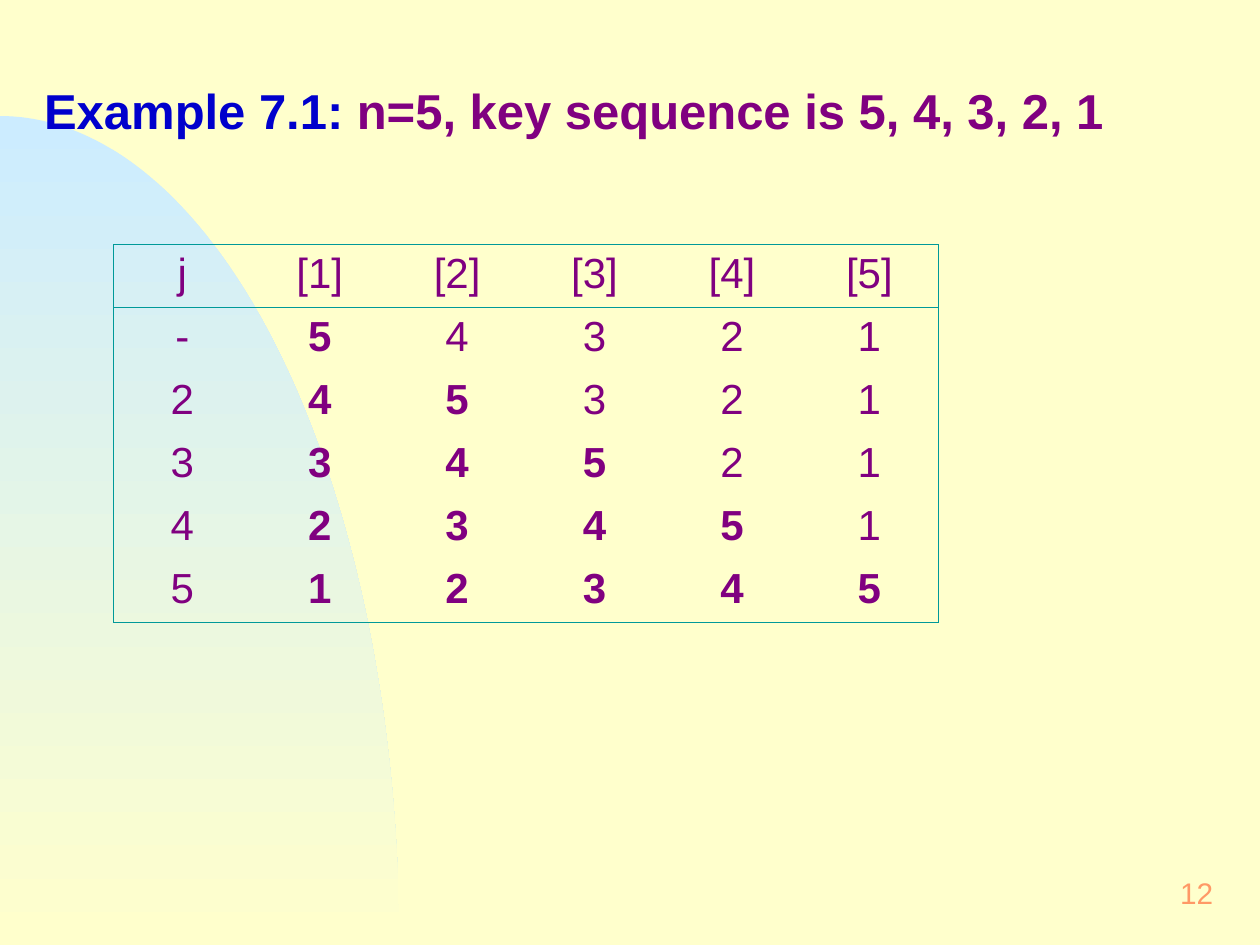
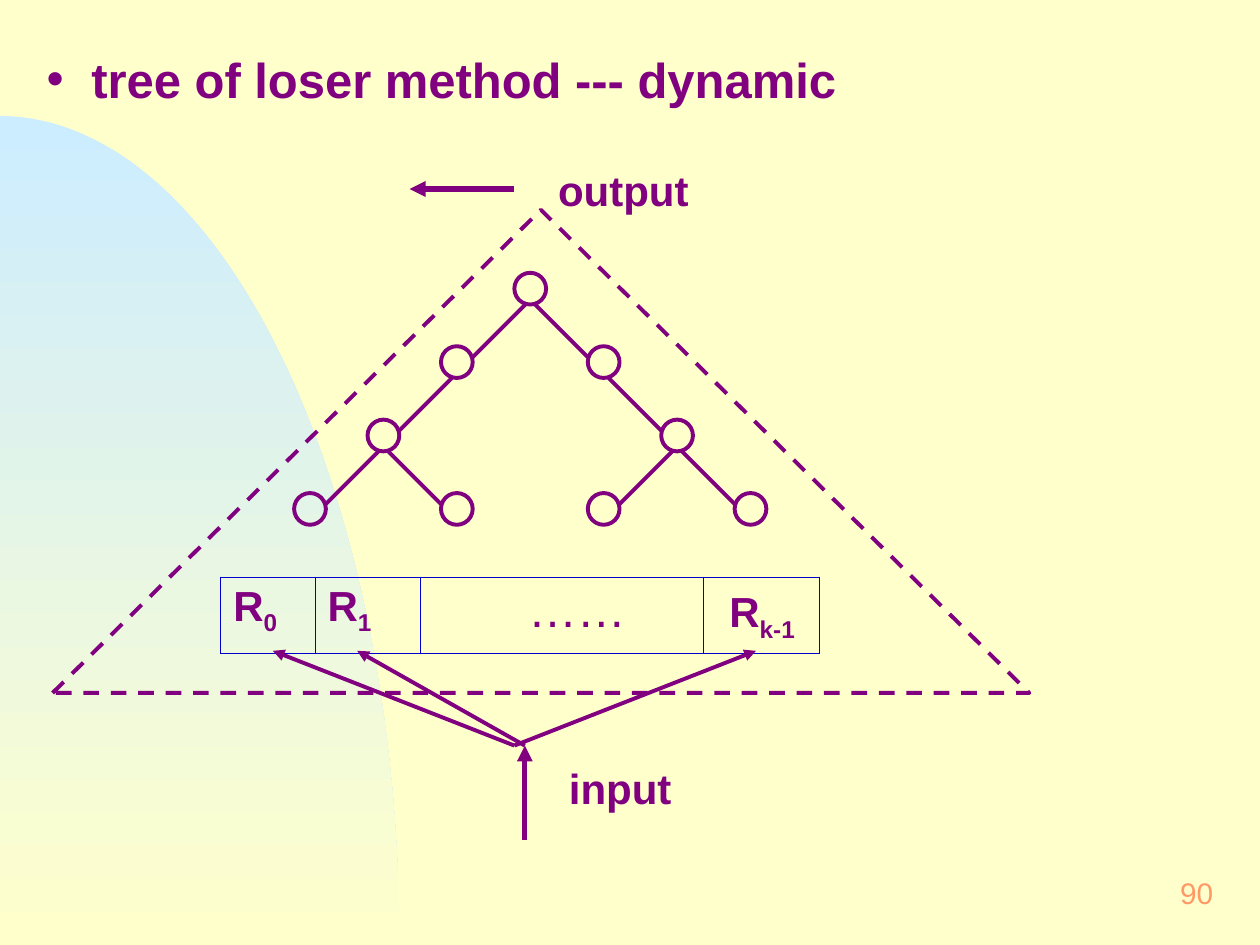
from math import cos, pi, sin

from lxml.etree import SubElement
from pptx import Presentation
from pptx.dml.color import RGBColor
from pptx.enum.dml import MSO_LINE
from pptx.enum.shapes import MSO_CONNECTOR, MSO_SHAPE
from pptx.enum.text import MSO_ANCHOR as Anchor, MSO_AUTO_SIZE as AutoSize, PP_ALIGN as Align
from pptx.oxml.ns import qn
from pptx.util import Cm, Pt

FONT = "Arial"
CREAM, SKY, PURPLE = "FFFFCC", "CCECFF", "800080"
BLUE, TEAL, ORANGE = "0000CC", "009999", "FF9966"
SLIDE_WIDTH, SLIDE_HEIGHT = 25.4, 19.05

# Slide 12: sort passes; each row is j followed by the keys
EXAMPLE_TITLE = [("Example 7.1:", {"color": BLUE}), (" n=5, key sequence is 5, 4, 3, 2, 1", {})]
PASS_HEADER = ["j", "[1]", "[2]", "[3]", "[4]", "[5]"]
PASSES = ["-54321", "245321", "334521", "423451", "512345"]
PASS_LEFT, PASS_TOP = 2.29, 4.93
PASS_COLUMN, PASS_ROW = 2.77, 1.27

# Slide 90: tree of losers, in steps (column, level) from the root
TREE_TITLE = "tree of loser method --- dynamic"
CHILDREN = {
    (0, 0): [(-1, 1), (1, 1)],
    (-1, 1): [(-2, 2)],
    (1, 1): [(2, 2)],
    (-2, 2): [(-3, 3), (-1, 3)],
    (2, 2): [(1, 3), (3, 3)],
}
ROOT_X, ROOT_Y, TREE_STEP = 10.69, 5.82, 1.48
RADIUS, EDGE_OFFSET = 0.32, 0.1
FRAME = (1.06, 4.23, 19.69, 9.74)

SUBSCRIPT = {"baseline": -25000}
# (column width, spans, format, indent, drop below the usual first line)
RECORDS = [
    (1.9, [("R", {}), ("0", SUBSCRIPT)], {}, 0, 0),
    (2.12, [("R", {}), ("1", SUBSCRIPT)], {}, 0, 0),
    (5.71, "……", {"size": 28, "bold": False}, 1.92, 0),
    (2.33, [("R", {}), ("k-1", SUBSCRIPT)], {}, 0.27, 0.13),
]
RECORDS_LEFT, RECORDS_TOP, RECORDS_HEIGHT = 4.45, 11.63, 1.55

ARROWS = [  # start, end, weight
    ((10.37, 3.81), (8.26, 3.81), 3),
    ((10.58, 16.93), (10.58, 15.03), 3),
    ((10.37, 15.03), (5.5, 13.12), 2.25),
    ((10.58, 15.03), (7.2, 13.12), 2.25),
    ((10.37, 15.03), (15.24, 13.12), 2.25),
]
LABELS = [("output", 11, 3.18), ("input", 11.22, 15.24)]


def rgb(color):
    return RGBColor.from_string(color)


def write(frame, text, size=24, color=PURPLE, bold=False, align=Align.LEFT, anchor=Anchor.TOP,
          inset=(0.25, 0.13), spacing=1.0, indent=0, bullet=None):
    """Fill a text frame with a string or a list of (text, changes) spans."""
    frame.word_wrap = True
    frame.auto_size = AutoSize.NONE
    frame.vertical_anchor = anchor
    frame.margin_left = frame.margin_right = Cm(inset[0])
    frame.margin_top = frame.margin_bottom = Cm(inset[1])
    write_paragraph(frame.paragraphs[0], text, size, color, bold, align, spacing, indent, bullet)


def write_paragraph(para, text, size=24, color=PURPLE, bold=False, align=Align.LEFT,
                    spacing=1.0, indent=0, bullet=None):
    para.alignment = align
    para.line_spacing = spacing
    para.space_before = Pt(0)
    properties = para._p.get_or_add_pPr()
    properties.set("marL", str(Cm(indent)))
    properties.set("indent", str(-Cm(indent) if bullet else 0))
    if bullet:
        bullet_color = SubElement(properties, qn("a:buClr"))
        SubElement(bullet_color, qn("a:srgbClr"), val=color)
        SubElement(properties, qn("a:buFont"), typeface=FONT)
        SubElement(properties, qn("a:buChar"), char=bullet)
    for words, changes in [(text, {})] if isinstance(text, str) else text:
        span = para.add_run()
        span.text = words
        span.font.name, span.font.size, span.font.bold = FONT, Pt(size), bold
        span.font.color.rgb = rgb(changes.get("color", color))
        if "baseline" in changes:
            span._r.get_or_add_rPr().set("baseline", str(changes["baseline"]))


def add_text(slide, text, left, top, width, height, **text_format):
    box = slide.shapes.add_textbox(Cm(left), Cm(top), Cm(width), Cm(height))
    write(box.text_frame, text, **text_format)


def add_band(slide):
    """Place the faded quarter ellipse behind everything else."""
    width, height, steps = 8.05, 16.71, 90
    angles = [pi / 2 * step / steps for step in range(steps + 1)]
    arc = [(Cm(width * sin(a)), Cm(SLIDE_HEIGHT - height * cos(a))) for a in angles]
    builder = slide.shapes.build_freeform(0, Cm(SLIDE_HEIGHT))
    builder.add_line_segments(arc, close=True)
    band = builder.convert_to_shape()
    band.shadow.inherit = False
    band.line.fill.background()
    band.fill.gradient()
    band.fill.gradient_angle = 270
    for stop, color in zip(band.fill.gradient_stops, (SKY, CREAM)):
        stop.color.rgb = rgb(color)
    slide.shapes.title.element.addprevious(band.element)


def add_slide(deck, number, title, top, **title_format):
    slide = deck.slides.add_slide(deck.slide_layouts[5])
    heading = slide.shapes.title
    heading.left, heading.top, heading.width, heading.height = Cm(0.64), Cm(top), Cm(24.33), Cm(1.55)
    write(heading.text_frame, title, size=28, bold=True, **title_format)
    add_band(slide)
    add_text(slide, str(number), 19.48, 17.35, 5.28, 1.27, size=17, color=ORANGE,
             align=Align.RIGHT, anchor=Anchor.MIDDLE, inset=(0.3, 0.15))
    return slide


def add_grid(slide, left, top, widths, heights):
    table = slide.shapes.add_table(len(heights), len(widths), Cm(left), Cm(top),
                                   Cm(sum(widths)), Cm(sum(heights))).table
    table.first_row = table.horz_banding = False
    for column, width in zip(table.columns, widths):
        column.width = Cm(width)
    for row, height in zip(table.rows, heights):
        row.height = Cm(height)
    return table


def style_cell(cell, sides, color):
    """Clear the cell and rule only the named sides (from L, R, T, B)."""
    cell.fill.background()
    properties = cell._tc.get_or_add_tcPr()
    for position, side in enumerate("LRTB"):
        border = SubElement(properties, qn(f"a:ln{side}"), w=str(Pt(0.45)))
        if side in sides:
            fill = SubElement(border, qn("a:solidFill"))
            SubElement(fill, qn("a:srgbClr"), val=color)
        else:
            SubElement(border, qn("a:noFill"))
        properties.insert(position, border)


def style_line(line, weight=2.25):
    line.color.rgb = rgb(PURPLE)
    line.width = Pt(weight)


def add_outline(slide, kind, left, top, width, height):
    shape = slide.shapes.add_shape(kind, Cm(left), Cm(top), Cm(width), Cm(height))
    shape.shadow.inherit = False
    shape.fill.background()
    style_line(shape.line)
    return shape


def add_line(slide, start, end, weight=2.25, arrow=False):
    line = slide.shapes.add_connector(MSO_CONNECTOR.STRAIGHT, *map(Cm, start + end))
    style_line(line.line, weight)
    if arrow:
        SubElement(line.line._get_or_add_ln(), qn("a:tailEnd"), type="triangle")
    SubElement(line.element.spPr, qn("a:effectLst"))


def add_passes(slide):
    rows = [PASS_HEADER, *PASSES]
    table = add_grid(slide, PASS_LEFT, PASS_TOP, [PASS_COLUMN] * len(PASS_HEADER), [PASS_ROW] * len(rows))
    last_row, last_column = len(rows) - 1, len(PASS_HEADER) - 1
    for r, row in enumerate(rows):
        for c, value in enumerate(row):
            cell = table.cell(r, c)
            sides = (("L" if c == 0 else "") + ("R" if c == last_column else "")
                     + ("T" if r <= 1 else "") + ("B" if r in (0, last_row) else ""))
            style_cell(cell, sides, TEAL)
            write_paragraph(cell.text_frame.paragraphs[0], value, bold=1 <= c <= r, align=Align.CENTER)


def add_records(slide):
    table = add_grid(slide, RECORDS_LEFT, RECORDS_TOP, [record[0] for record in RECORDS], [RECORDS_HEIGHT])
    for cell, (_, text, text_format, indent, drop) in zip(table.rows[0].cells, RECORDS):
        style_cell(cell, "LRTB", BLUE)
        cell.margin_top = Cm(0.13 + drop)
        write_paragraph(cell.text_frame.paragraphs[0], text, indent=indent, **{"bold": True, **text_format})


def node_center(node):
    column, level = node
    return ROOT_X + column * TREE_STEP, ROOT_Y + level * TREE_STEP


def add_tree(slide):
    nodes = [(0, 0)] + [child for children in CHILDREN.values() for child in children]
    for x, y in map(node_center, nodes):
        add_outline(slide, MSO_SHAPE.OVAL, x - RADIUS, y - RADIUS, 2 * RADIUS, 2 * RADIUS)
    for parent, children in CHILDREN.items():
        x, y = node_center(parent)
        for child in children:
            child_x, child_y = node_center(child)
            side = child[0] - parent[0]
            add_line(slide, (x + side * EDGE_OFFSET, y + RADIUS),
                     (child_x - side * RADIUS, child_y - EDGE_OFFSET))


def main():
    deck = Presentation()
    deck.slide_width, deck.slide_height = Cm(SLIDE_WIDTH), Cm(SLIDE_HEIGHT)
    background = deck.slide_master.background.fill
    background.solid()
    background.fore_color.rgb = rgb(CREAM)

    add_passes(add_slide(deck, 12, EXAMPLE_TITLE, 1.37, spacing=1.1))

    slide = add_slide(deck, 90, TREE_TITLE, 0.84, inset=(0.3, 0.15), indent=0.9, bullet="•")
    add_records(slide)
    add_tree(slide)
    add_outline(slide, MSO_SHAPE.ISOSCELES_TRIANGLE, *FRAME).line.dash_style = MSO_LINE.DASH
    for start, end, weight in ARROWS:
        add_line(slide, start, end, weight, arrow=True)
    for label, left, top in LABELS:
        add_text(slide, label, left, top, 4.66, 1.27, bold=True)
    deck.save("out.pptx")


if __name__ == "__main__":
    main()
